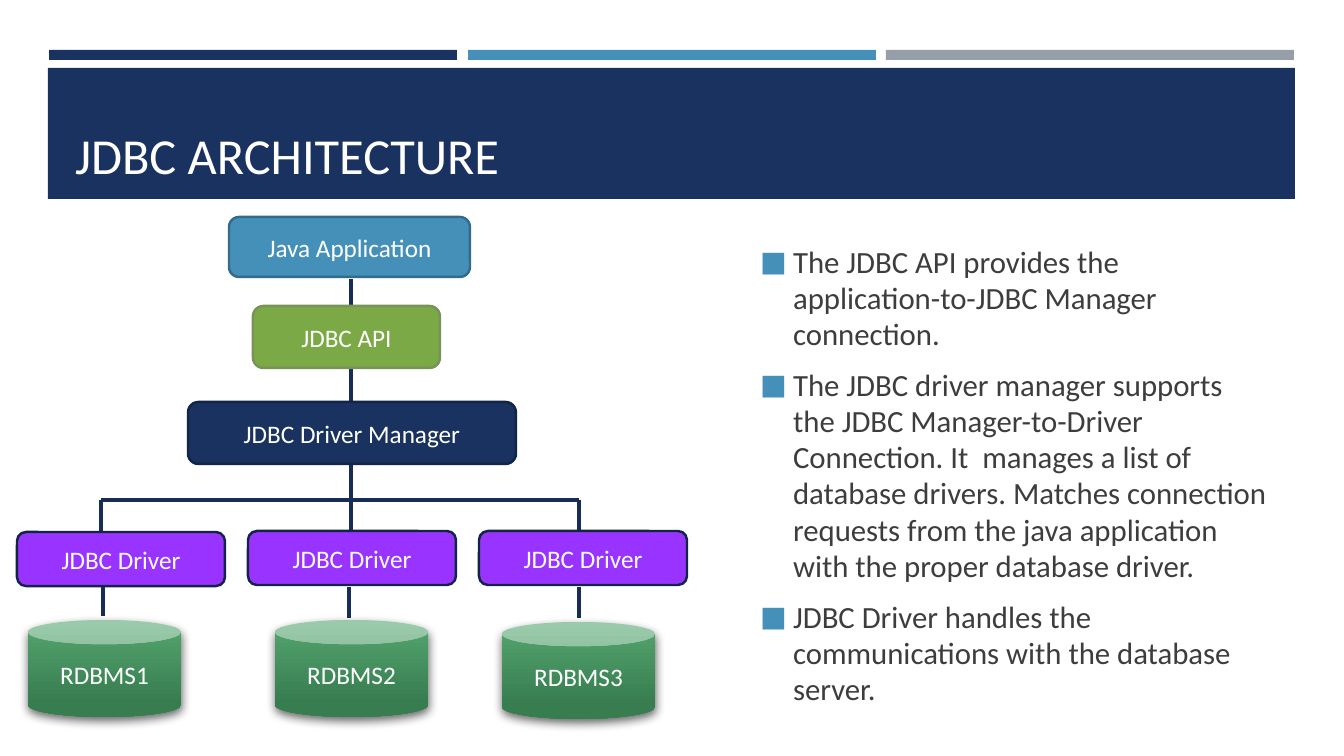
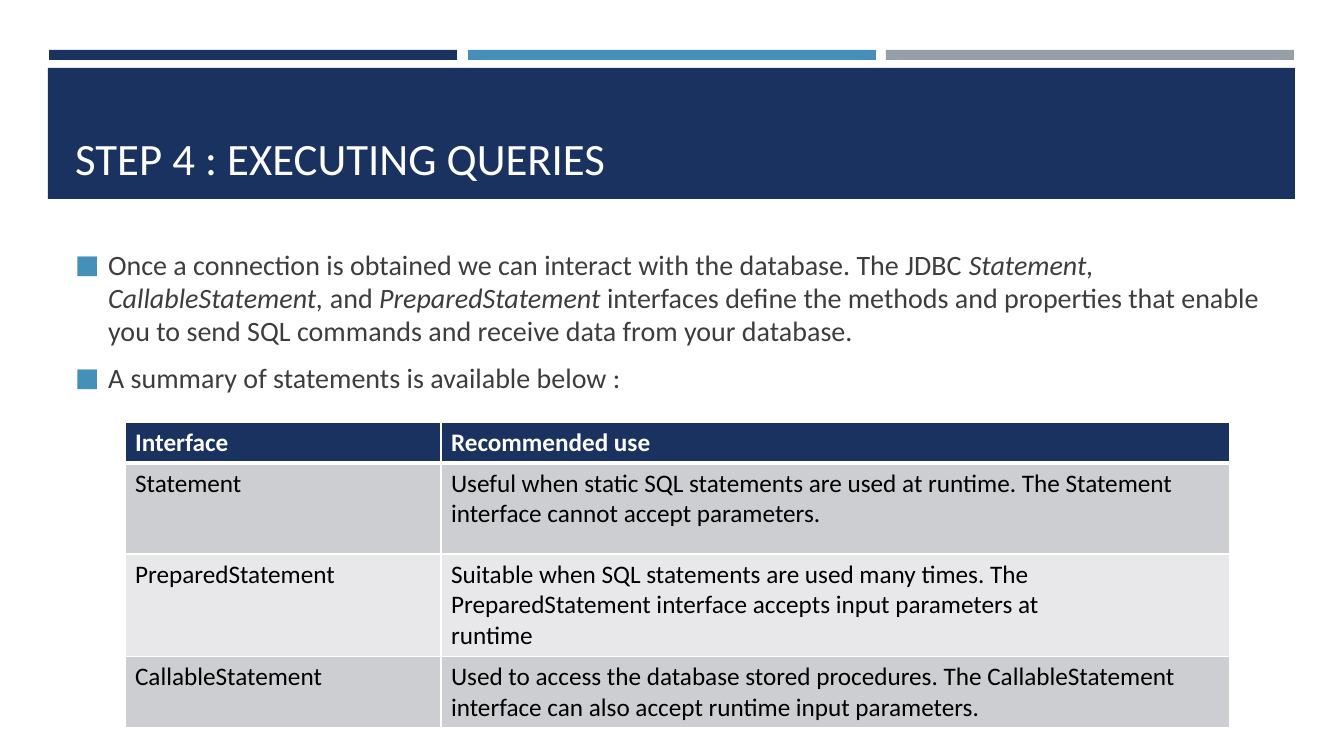
from lxml.etree import SubElement
from pptx import Presentation
from pptx.dml.color import RGBColor
from pptx.enum.shapes import MSO_CONNECTOR, MSO_SHAPE
from pptx.enum.text import MSO_ANCHOR, MSO_AUTO_SIZE, PP_ALIGN
from pptx.oxml import parse_xml
from pptx.oxml.ns import nsdecls, qn
from pptx.util import Pt

NAVY = RGBColor(0x1A, 0x32, 0x60)
NAVY_EDGE = RGBColor(0x13, 0x25, 0x47)
NAVY_LINE = RGBColor(0x17, 0x2D, 0x56)
BLUE = RGBColor(0x45, 0x90, 0xB8)
BLUE_EDGE = RGBColor(0x33, 0x6B, 0x88)
GRAY = RGBColor(0x96, 0x9F, 0xA7)
GREEN = RGBColor(0x7B, 0xA9, 0x46)
GREEN_EDGE = RGBColor(0x78, 0x93, 0x58)
PURPLE = RGBColor(0x99, 0x33, 0xFF)
CAN_TOP = RGBColor(0x55, 0xA7, 0x70)
CAN_BOTTOM = RGBColor(0x37, 0x7D, 0x50)
TEXT = RGBColor(0x3D, 0x3D, 0x3D)
WHITE = RGBColor(0xFF, 0xFF, 0xFF)
BLACK = RGBColor(0, 0, 0)
ROW_DARK = RGBColor(0xCD, 0xCE, 0xD2)
ROW_LIGHT = RGBColor(0xE8, 0xE8, 0xEA)

FONT = "Calibri"
EMU_PER_PIXEL = 914400 / 100.8
SLIDE_SIZE = (1344, 756)
TITLE_BOX = (65, 78, 1216, 112)
INSET = 5

BANDS = [((49 + (index * 837 + 1) // 2, 50, 408, 10), color)
         for index, color in enumerate((NAVY, BLUE, GRAY))]
BANDS.append(((48, 68, 1247, 131), NAVY))

ARCHITECTURE = {
    "title": "JDBC ARCHITECTURE", "title_size": 36,
    "body_box": (750, 217, 530, 518), "body_size": 22,
    "anchor": MSO_ANCHOR.MIDDLE, "top_inset": INSET,
    "bullets": [
        [("The JDBC API provides the application-to-JDBC Manager connection.", False)],
        [("The JDBC driver manager supports the JDBC Manager-to-Driver Connection. "
          "It  manages a list of database drivers. Matches connection requests from "
          "the java application with the proper database driver.", False)],
        [("JDBC Driver handles the communications with the database server.", False)],
    ],
}
QUERIES = {
    "title": "STEP 4 : EXECUTING QUERIES", "title_size": 32,
    "body_box": (65, 241, 1216, 405), "body_size": 20,
    "anchor": MSO_ANCHOR.TOP, "top_inset": 8,
    "bullets": [
        [("Once a connection is obtained we can interact with the database. The JDBC ", False),
         ("Statement, CallableStatement, ", True), ("and ", False),
         ("PreparedStatement ", True),
         ("interfaces define the methods and properties that enable you to send SQL "
          "commands and receive data from your database.", False)],
        [("A summary of statements is available below :", False)],
    ],
}

LAYERS = [
    ("Java Application", (229, 217, 241, 60), BLUE, BLUE_EDGE),
    ("JDBC API", (253, 306, 187, 62), GREEN, GREEN_EDGE),
    ("JDBC Driver Manager", (188, 402, 328, 62), NAVY, NAVY_EDGE),
]
DRIVER_TOPS = (532, 531, 531)
DRIVERS = [("JDBC Driver", (17 + 231 * index, top, 208, 54), PURPLE, NAVY_EDGE)
           for index, top in enumerate(DRIVER_TOPS)]
DATABASES = [("RDBMS1", 28, 620), ("RDBMS2", 275, 620), ("RDBMS3", 502, 622)]
CAN_SIZE = (153, 97)

TRUNK_X, BUS_Y, BUS_LEFT, BUS_RIGHT = 351, 500, 101, 579
LINES = [
    (TRUNK_X, 279, TRUNK_X, DRIVER_TOPS[1]),
    (BUS_LEFT, BUS_Y, BUS_RIGHT, BUS_Y),
    (BUS_LEFT, BUS_Y, BUS_LEFT, DRIVER_TOPS[0]),
    (BUS_RIGHT, BUS_Y, BUS_RIGHT, DRIVER_TOPS[2]),
]
LINES += [(x, top, x, top + 31) for x, top in ((103, 585), (349, 587), (579, 587))]

TABLE_ROWS = [
    ("Interface", "Recommended use"),
    ("Statement", "Useful when static SQL statements are used at runtime. "
                  "The Statement interface cannot accept parameters."),
    ("PreparedStatement", "Suitable when SQL statements are used many times. The "
                          "PreparedStatement interface accepts input parameters at\nruntime"),
    ("CallableStatement", "Used to access the database stored procedures. The "
                          "CallableStatement interface can also accept runtime input parameters."),
]
TABLE_ORIGIN = (125, 422)
COLUMN_WIDTHS = (316, 789)
ROW_HEIGHTS = (41, 91, 102, 71)


def emu(*pixels):
    return [round(pixel * EMU_PER_PIXEL) for pixel in pixels]


def apply(target, values):
    for name, value in values.items():
        setattr(target, name, value)


def style_font(font, size, color, **values):
    apply(font, {"name": FONT, "size": Pt(size), **values})
    font.color.rgb = color


def place(shape, box):
    apply(shape, dict(zip(("left", "top", "width", "height"), emu(*box))))


def add_filled(shapes, kind, box, color):
    shape = shapes.add_shape(kind, *emu(*box))
    shape.shadow.inherit = False
    shape.fill.solid()
    shape.fill.fore_color.rgb = color
    shape.line.fill.background()
    return shape


def add_label(shape, text):
    shape.text_frame.text = text
    shape.text_frame.vertical_anchor = MSO_ANCHOR.MIDDLE
    paragraph = shape.text_frame.paragraphs[0]
    paragraph.alignment = PP_ALIGN.CENTER
    style_font(paragraph.runs[0].font, 18, WHITE)


def add_box(shapes, text, box, color, edge):
    shape = add_filled(shapes, MSO_SHAPE.ROUNDED_RECTANGLE, box, color)
    shape.line.color.rgb = edge
    shape.line.width = Pt(1.75)
    add_label(shape, text)


def add_database(shapes, text, left, top):
    shape = add_filled(shapes, MSO_SHAPE.CAN, (left, top, *CAN_SIZE), CAN_TOP)
    shape.fill.gradient()
    shape.fill.gradient_angle = 270
    for stop, position, color in zip(shape.fill.gradient_stops, (0, 0.84), (CAN_TOP, CAN_BOTTOM)):
        stop.position = position
        stop.color.rgb = color
    effects = shape.element.spPr.find(qn("a:effectLst"))
    effects.append(parse_xml(
        f'<a:outerShdw {nsdecls("a")} blurRad="{Pt(7)}" dist="{Pt(3)}" dir="5040000" '
        f'rotWithShape="0"><a:srgbClr val="{BLACK}"><a:alpha val="60000"/></a:srgbClr>'
        '</a:outerShdw>'))
    add_label(shape, text)


def add_line(shapes, ends):
    line = shapes.add_connector(MSO_CONNECTOR.STRAIGHT, *emu(*ends))
    line.line.color.rgb = NAVY_LINE
    line.line.width = Pt(3)
    SubElement(line.element.spPr, qn("a:effectLst"))


def format_bullet(paragraph, size):
    apply(paragraph, {"alignment": PP_ALIGN.LEFT, "line_spacing": 0.98,
                      "space_before": Pt(size * 0.2), "space_after": Pt(6)})
    properties = paragraph._p.get_or_add_pPr()
    indent = emu(33)[0]
    properties.set("marL", str(indent))
    properties.set("indent", str(-indent))
    color = SubElement(properties, qn("a:buClr"))
    SubElement(color, qn("a:srgbClr"), val=str(BLUE))
    SubElement(properties, qn("a:buSzPct"), val="92000")
    SubElement(properties, qn("a:buFont"), typeface=FONT)
    SubElement(properties, qn("a:buChar"), char="\u25a0")


def add_bands(slide, layout):
    for index, (box, color) in enumerate(BANDS):
        band = add_filled(slide.shapes, MSO_SHAPE.RECTANGLE, box, color)
        band.name = f"Band {index + 1}"
        band.element.nvSpPr.cNvPr.id = 20 + index
        layout.shapes.element.insert(2 + index, band.element)


def add_slide(presentation, layout, content):
    slide = presentation.slides.add_slide(layout)
    title, body = slide.placeholders
    place(title, TITLE_BOX)
    title.text_frame.text = content["title"]
    apply(title.text_frame, {"vertical_anchor": MSO_ANCHOR.BOTTOM, "word_wrap": True,
                             "auto_size": MSO_AUTO_SIZE.NONE})
    heading = title.text_frame.paragraphs[0]
    heading.alignment = PP_ALIGN.LEFT
    style_font(heading.runs[0].font, content["title_size"], WHITE)

    place(body, content["body_box"])
    frame = body.text_frame
    apply(frame, {"vertical_anchor": content["anchor"], "word_wrap": True,
                  "auto_size": MSO_AUTO_SIZE.NONE,
                  "margin_top": emu(content["top_inset"])[0]})
    for index, runs in enumerate(content["bullets"]):
        paragraph = frame.add_paragraph() if index else frame.paragraphs[0]
        format_bullet(paragraph, content["body_size"])
        for text, italic in runs:
            run = paragraph.add_run()
            run.text = text
            style_font(run.font, content["body_size"], TEXT, italic=italic)
    return slide


def add_diagram(slide):
    shapes = slide.shapes.add_group_shape().shapes
    for ends in LINES:
        add_line(shapes, ends)
    for box in LAYERS + DRIVERS:
        add_box(shapes, *box)
    for database in DATABASES:
        add_database(shapes, *database)


def set_borders(cell, top, bottom):
    properties = cell._tc.get_or_add_tcPr()
    for index, (side, width) in enumerate(zip("LRTB", (1, 1, top, bottom))):
        properties.insert(index, parse_xml(
            f'<a:ln{side} {nsdecls("a")} w="{Pt(width)}"><a:solidFill>'
            f'<a:srgbClr val="{WHITE}"/></a:solidFill></a:ln{side}>'))


def add_summary(slide):
    box = (*TABLE_ORIGIN, sum(COLUMN_WIDTHS), sum(ROW_HEIGHTS))
    table = slide.shapes.add_table(len(TABLE_ROWS), len(COLUMN_WIDTHS), *emu(*box)).table
    table.horz_banding = False
    for column, width in zip(table.columns, emu(*COLUMN_WIDTHS)):
        column.width = width
    for row, height in zip(table.rows, emu(*ROW_HEIGHTS)):
        row.height = height
    for row_index, texts in enumerate(TABLE_ROWS):
        header = row_index == 0
        fill = NAVY if header else (ROW_LIGHT, ROW_DARK)[row_index % 2]
        for column_index, text in enumerate(texts):
            cell = table.cell(row_index, column_index)
            cell.text = text
            cell.fill.solid()
            cell.fill.fore_color.rgb = fill
            set_borders(cell, 3 if row_index == 1 else 1, 3 if header else 1)
            for paragraph in cell.text_frame.paragraphs:
                style_font(paragraph.runs[0].font, 18, WHITE if header else BLACK, bold=header)


presentation = Presentation()
presentation.slide_width, presentation.slide_height = emu(*SLIDE_SIZE)
layout = presentation.slide_layouts[1]
architecture = add_slide(presentation, layout, ARCHITECTURE)
add_bands(architecture, layout)
add_diagram(architecture)
add_summary(add_slide(presentation, layout, QUERIES))
presentation.save("out.pptx")
